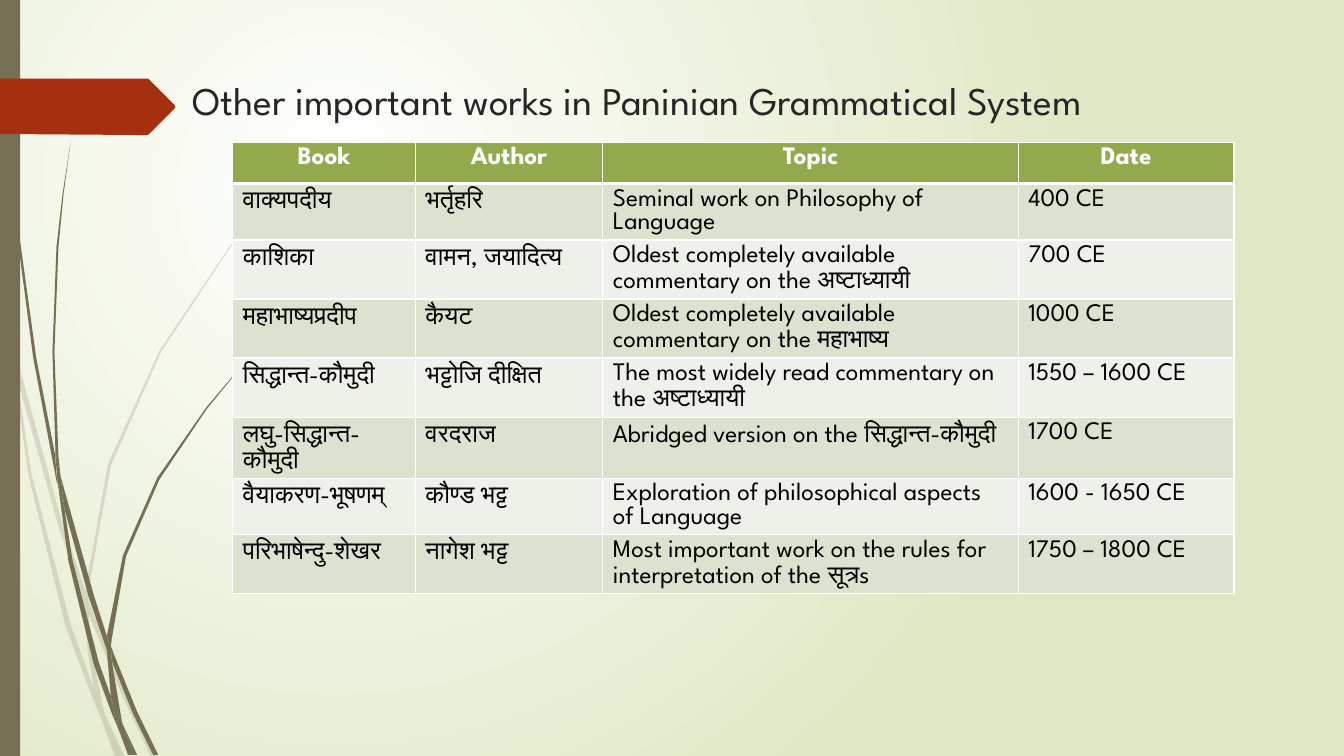
from pptx import Presentation
from pptx import util as u
from pptx.dml.color import RGBColor
from pptx.enum import shapes, text
from pptx.oxml import parse_xml
from pptx.oxml.ns import nsdecls
from dataclasses import dataclass

PX = 9144  # EMU in one px, 100 px to the inch


@dataclass(frozen=True)
class Theme:
    font: str = "League Spartan"
    title_size: int = 28
    table_size: int = 18
    title: str = "262626"
    ink: str = "000000"
    white: str = "FFFFFF"
    glow: str = "DFE8C4"
    wisp: str = "766F54"
    arrow: str = "A53010"
    header: str = "92AA4C"
    bands: tuple = ("DCE2D0", "EEF1E9")


# Outlines as x,y corners in px
PALE_WISPS = [
    "11,350 9,322 0,282 0,299 10,344",
    "58,522 84,599 85,586 62,520 14,345 17,376",
    "92,607 88,596 88,610 123,694 150,751 155,751 127,692",
    "119,751 124,751 105,711",
    "93,683 70,619 31,469 17,376 11,350 28,470 65,621 92,693 101,714 99,707",
    "84,599 87,646 93,683 96,692 105,711 103,706 91,646 88,610 88,608",
    "88,584 110,462 160,349 229,245 268,198 290,175 312,154 312,153 289,175 "
    "268,197 228,244 158,348 107,461 85,584 85,586 88,596",
    "101,714 114,751 119,751",
    "88,608 88,610 88,596 85,586 84,599",
    "96,692 93,683 99,707 101,714 119,751 105,711",
]
DARK_WISPS = [
    "7,110 17,233 33,355 56,477 57,481 55,457 55,453 36,355 19,232 8,109 "
    "5,48 4,0 3,0 4,48",
    "88,592 106,645 106,633 106,631 93,590 60,472 64,505",
    "113,649 110,641 111,656 132,708 152,749 157,749 136,706",
    "110,691 98,657 72,556 64,505 57,477 68,557 93,659 111,708 117,722 116,717",
    "60,472 58,453 54,349 58,245 63,193 70,141 62,193 56,245 52,349 55,449",
    "133,749 136,749 122,719",
    "57,477 64,505 60,472 55,449 55,453",
    "111,633 125,552 158,476 205,406 231,374 245,359 261,344 260,344 245,358 "
    "231,373 204,405 156,474 122,551 106,631 110,641",
    "117,722 127,749 131,749",
    "106,645 110,691 116,706 122,719 121,716 111,656 109,651",
    "106,645 109,651 111,656 110,641 106,631 106,633",
    "116,706 110,691 116,717 117,722 130,749 133,749 122,719",
]
TITLE_ARROW = "0,78 146,78 148,79 173,104 174,106 173,108 148,133 146,134 136,134 0,133"

COLUMNS = [181, 186, 412, 214]
ROW_HEIGHT = 41
WORKS = [
    ("Book", "Author", "Topic", "Date"),
    ("वाक्यपदीय", "भर्तृहरि", "Seminal work on Philosophy of Language", "400 CE"),
    ("काशिका", "वामन, जयादित्य",
     "Oldest completely available commentary on the अष्टाध्यायी", "700 CE"),
    ("महाभाष्यप्रदीप", "कैयट",
     "Oldest completely available commentary on the महाभाष्य", "1000 CE"),
    ("सिद्धान्त-कौमुदी", "भट्टोजि दीक्षित",
     "The most widely read commentary on the अष्टाध्यायी", "1550 – 1600 CE"),
    ("लघु-सिद्धान्त-कौमुदी", "वरदराज",
     "Abridged version on the सिद्धान्त-कौमुदी", "1700 CE"),
    ("वैयाकरण-भूषणम्", "कौण्ड भट्ट",
     "Exploration of philosophical aspects of Language", "1600 - 1650 CE"),
    ("परिभाषेन्दु-शेखर", "नागेश भट्ट",
     "Most important work on the rules for interpretation of the सूत्रs",
     "1750 – 1800 CE"),
]


class Painter:
    def __init__(self, page, theme):
        self.page = page
        self.theme = theme

    def background(self, inner, outer):
        fill = self.page.background.fill
        fill.gradient()
        for stop, color in zip(fill.gradient_stops, (inner, outer)):
            stop.color.rgb = RGBColor.from_string(color)
        gradient = self.page.element.xpath(".//a:gradFill")[0]
        for linear in gradient.xpath("a:lin"):
            gradient.remove(linear)
        gradient.append(parse_xml(
            f'<a:path {nsdecls("a")} path="circle"><a:fillToRect l="50000" '
            't="50000" r="100000" b="100000"/></a:path>'))

    def paint(self, shape, color, opacity=100):
        shape.shadow.inherit = False
        shape.fill.solid()
        shape.fill.fore_color.rgb = RGBColor.from_string(color)
        shape.line.fill.background()
        if opacity < 100:
            shade = shape.element.xpath("p:spPr/a:solidFill/a:srgbClr")[0]
            shade.append(parse_xml(
                f'<a:alpha {nsdecls("a")} val="{opacity * 1000}"/>'))

    def outline(self, corners, color, opacity=100, group=None):
        points = [tuple(map(int, pair.split(","))) for pair in corners.split()]
        owner = group or self.page
        builder = owner.shapes.build_freeform(*points[0], scale=PX)
        builder.add_line_segments(points[1:], close=True)
        self.paint(builder.convert_to_shape(), color, opacity)

    def outline_group(self, outlines, color, opacity=100):
        group = self.page.shapes.add_group_shape()
        for corners in outlines:
            self.outline(corners, color, opacity, group)

    def rectangle(self, *place, color):
        box = self.page.shapes.add_shape(
            shapes.MSO_SHAPE.RECTANGLE, *(length * PX for length in place))
        self.paint(box, color)

    def add_words(self, frame, words, size, color, align, bold=False):
        para = frame.paragraphs[0]
        para.alignment = align
        span = para.add_run()
        span.text = words
        style = {"name": self.theme.font, "size": u.Pt(size), "bold": bold}
        for key, value in style.items():
            setattr(span.font, key, value)
        span.font.color.rgb = RGBColor.from_string(color)

    def title(self, words, left, top, width, height):
        box = self.page.shapes.title
        place = {"left": left, "top": top, "width": width, "height": height}
        for key, value in place.items():
            setattr(box, key, value * PX)
        layout = {"word_wrap": True, "auto_size": text.MSO_AUTO_SIZE.NONE,
                  "vertical_anchor": text.MSO_ANCHOR.MIDDLE}
        for key, value in layout.items():
            setattr(box.text_frame, key, value)
        self.add_words(box.text_frame, words, self.theme.title_size,
                       self.theme.title, text.PP_ALIGN.LEFT)

    def borders(self, cell, **points):
        properties = cell._tc.get_or_add_tcPr()
        for side in "LRTB":
            width = u.Pt(points.get(side, 1))
            properties.append(parse_xml(
                f'<a:ln{side} {nsdecls("a")} w="{width}"><a:solidFill>'
                f'<a:srgbClr val="{self.theme.white}"/></a:solidFill></a:ln{side}>'))

    def table(self, rows, left, top, columns, row_height):
        theme = self.theme
        place = (left, top, sum(columns), row_height * len(rows))
        grid = self.page.shapes.add_table(
            len(rows), len(columns), *(length * PX for length in place)).table
        grid.horz_banding = False
        for column, width in zip(grid.columns, columns):
            column.width = width * PX
        for row, entries in enumerate(rows):
            heading = row == 0
            # A thick rule parts the heading from the first work
            rule = {0: {"B": 3}, 1: {"T": 3}}.get(row, {})
            band = theme.header if heading else theme.bands[(row - 1) % 2]
            color = theme.white if heading else theme.ink
            align = text.PP_ALIGN.CENTER if heading else text.PP_ALIGN.LEFT
            for column, words in enumerate(entries):
                cell = grid.cell(row, column)
                self.borders(cell, **rule)
                cell.fill.solid()
                cell.fill.fore_color.rgb = RGBColor.from_string(band)
                self.add_words(cell.text_frame, words, theme.table_size, color,
                               align, heading)


def main():
    deck = Presentation()
    deck.slide_width, deck.slide_height = 1333 * PX, 750 * PX
    theme = Theme()
    painter = Painter(deck.slides.add_slide(deck.slide_layouts[5]), theme)

    # Backdrop and wisps
    painter.background(theme.white, theme.glow)
    painter.outline_group(PALE_WISPS, theme.wisp, opacity=20)
    painter.outline_group(DARK_WISPS, theme.wisp)
    painter.rectangle(0, 0, 20, 750, color=theme.wisp)

    # Title with its arrow
    painter.outline(TITLE_ARROW, theme.arrow)
    painter.title("Other important works in Paninian Grammatical System",
                  181, 68, 1078, 63)

    # Table of works
    painter.table(WORKS, 231, 141, COLUMNS, ROW_HEIGHT)
    deck.save("out.pptx")


if __name__ == "__main__":
    main()
